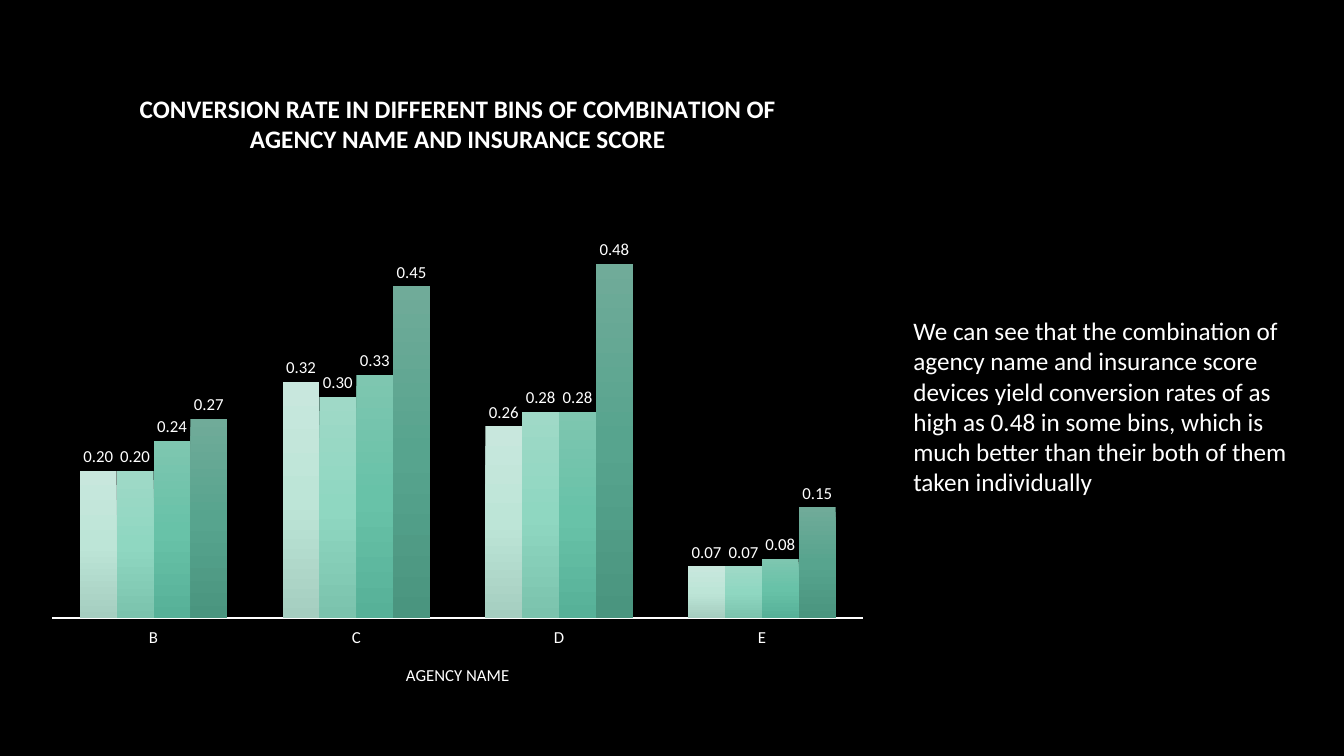
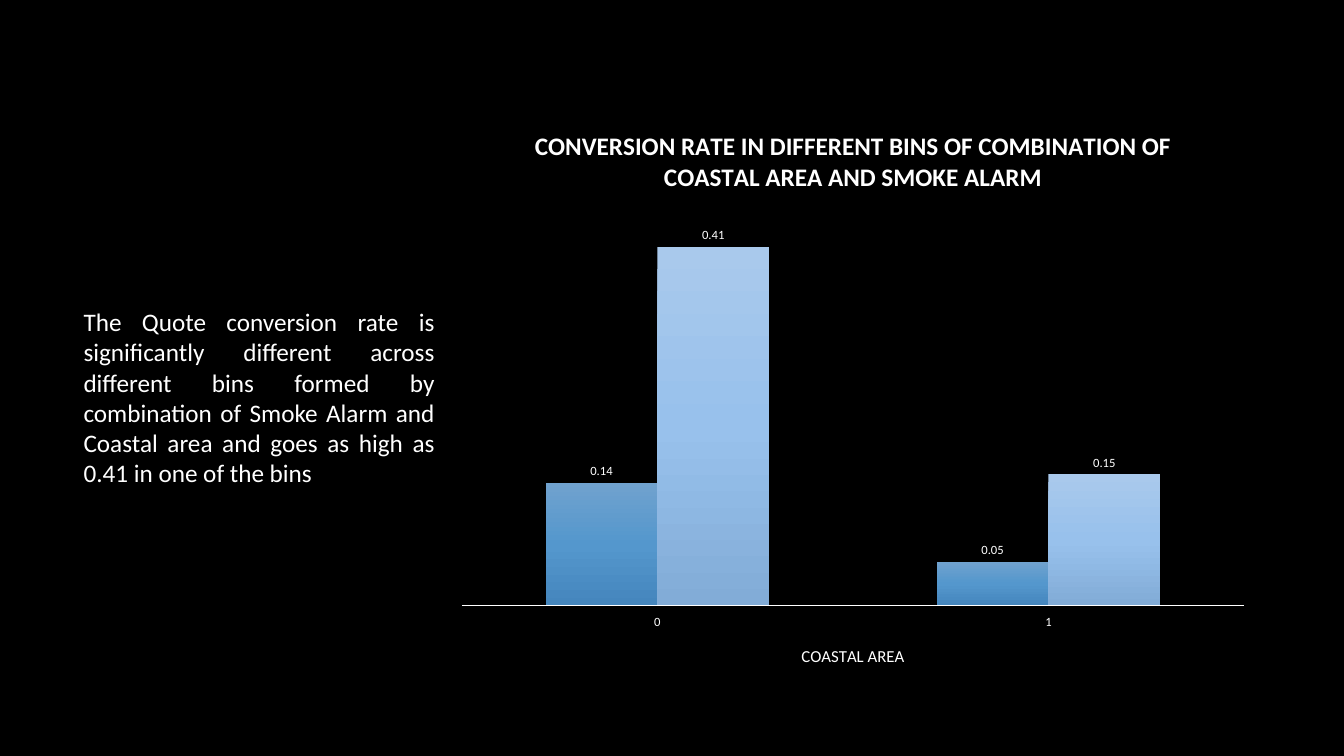
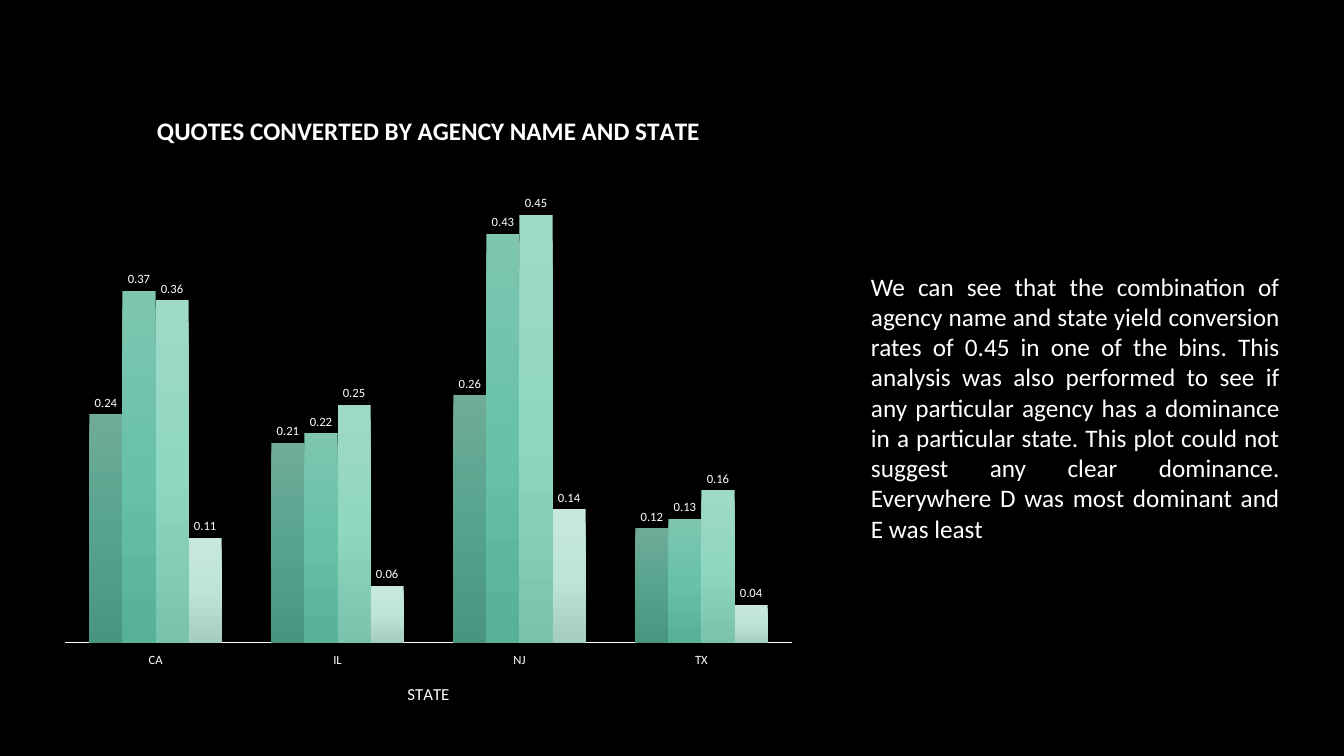
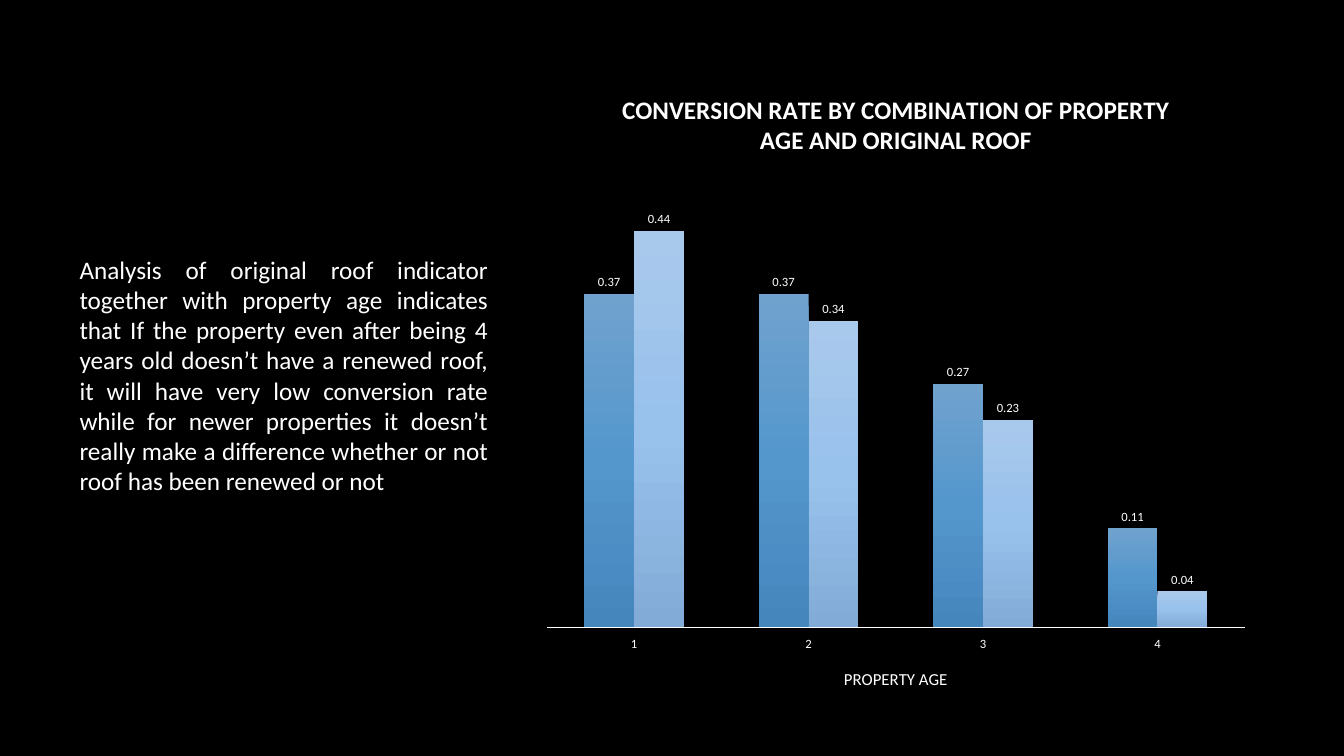
from copy import deepcopy

from pptx import Presentation
from pptx.chart.data import CategoryChartData
from pptx.dml.color import RGBColor
from pptx.enum.chart import XL_CHART_TYPE, XL_LABEL_POSITION, XL_TICK_LABEL_POSITION, XL_TICK_MARK
from pptx.enum.text import MSO_AUTO_SIZE, PP_ALIGN
from pptx.oxml.ns import qn
from pptx.util import Inches, Pt

COLUMNS = XL_CHART_TYPE.COLUMN_CLUSTERED
OUTSIDE_END = XL_LABEL_POSITION.OUTSIDE_END
TICK_LABELS_LOW = XL_TICK_LABEL_POSITION.LOW
NO_TICKS = XL_TICK_MARK.NONE
LEFT, JUSTIFY = PP_ALIGN.LEFT, PP_ALIGN.JUSTIFY
FIT_SHAPE = MSO_AUTO_SIZE.SHAPE_TO_FIT_TEXT

FONT = "Calibri"
BLACK = RGBColor(0x00, 0x00, 0x00)
WHITE = RGBColor(0xFF, 0xFF, 0xFF)

# Column gradients, each from top to bottom
PALE_GREEN = (RGBColor(0xC8, 0xE7, 0xDD), RGBColor(0xBD, 0xE5, 0xD7), RGBColor(0xA5, 0xCE, 0xC0))
LIGHT_GREEN = (RGBColor(0x9F, 0xD9, 0xC7), RGBColor(0x8F, 0xD7, 0xC1), RGBColor(0x7B, 0xC3, 0xAD))
MID_GREEN = (RGBColor(0x7E, 0xC6, 0xB0), RGBColor(0x68, 0xC2, 0xA8), RGBColor(0x57, 0xB1, 0x98))
DARK_GREEN = (RGBColor(0x70, 0xAB, 0x99), RGBColor(0x57, 0xA4, 0x8E), RGBColor(0x4A, 0x95, 0x7F))
DARK_BLUE = (RGBColor(0x70, 0xA2, 0xCE), RGBColor(0x54, 0x97, 0xCD), RGBColor(0x45, 0x86, 0xBD))
LIGHT_BLUE = (RGBColor(0xA9, 0xC9, 0xEC), RGBColor(0x98, 0xC1, 0xEC), RGBColor(0x82, 0xAC, 0xD7))
GREENS = [PALE_GREEN, LIGHT_GREEN, MID_GREEN, DARK_GREEN]
BLUES = [DARK_BLUE, LIGHT_BLUE]

# Content of each slide; boxes are left, top, width, height in inches
SLIDES = [
    {
        "title": "CONVERSION RATE IN DIFFERENT BINS OF COMBINATION OF AGENCY NAME AND INSURANCE SCORE",
        "axis": "AGENCY NAME",
        "chart_box": (0.35, 0.68, 8.38, 6.34),
        "label_size": 12,
        "categories": ["B", "C", "D", "E"],
        "values": [(0.20, 0.32, 0.26, 0.07), (0.20, 0.30, 0.28, 0.07),
                   (0.24, 0.33, 0.28, 0.08), (0.27, 0.45, 0.48, 0.15)],
        "gradients": GREENS,
        "text": "We can see that the combination of agency name and insurance score devices yield "
                "conversion rates of as high as 0.48 in some bins, which is much better than their "
                "both of them taken individually",
        "text_box": (8.96, 3.08, 4.05, 1.92),
        "align": LEFT,
    },
    {
        "title": "CONVERSION RATE IN DIFFERENT BINS OF COMBINATION OF COASTAL AREA AND SMOKE ALARM",
        "axis": "COASTAL AREA",
        "chart_box": (4.42, 1.06, 8.08, 5.77),
        "label_size": 9,
        "categories": ["0", "1"],
        "values": [(0.14, 0.05), (0.41, 0.15)],
        "gradients": BLUES,
        "text": "The Quote conversion rate is significantly different across different bins formed by "
                "combination of Smoke Alarm and Coastal area and goes as high as 0.41 in one of the bins",
        "text_box": (0.73, 2.99, 3.68, 1.92),
        "align": JUSTIFY,
    },
    {
        "title": "QUOTES CONVERTED BY AGENCY NAME AND STATE",
        "axis": "STATE",
        "chart_box": (0.49, 0.9, 7.52, 6.31),
        "label_size": 9,
        "categories": ["CA", "IL", "NJ", "TX"],
        "values": [(0.24, 0.21, 0.26, 0.12), (0.37, 0.22, 0.43, 0.13),
                   (0.36, 0.25, 0.45, 0.16), (0.11, 0.06, 0.14, 0.04)],
        "gradients": GREENS[::-1],
        "text": "We can see that the combination of agency name and state yield conversion rates of "
                "0.45 in one of the bins. This analysis was also performed to see if any particular "
                "agency has a dominance in a particular state. This plot could not suggest any clear "
                "dominance. Everywhere D was most dominant and E was least",
        "text_box": (8.54, 2.64, 4.25, 2.83),
        "align": JUSTIFY,
    },
    {
        "title": "CONVERSION RATE BY COMBINATION OF PROPERTY AGE AND ORIGINAL ROOF",
        "axis": "PROPERTY AGE",
        "chart_box": (5.28, 0.69, 7.21, 6.37),
        "label_size": 9,
        "categories": ["1", "2", "3", "4"],
        "values": [(0.37, 0.37, 0.27, 0.11), (0.44, 0.34, 0.23, 0.04)],
        "gradients": BLUES,
        "text": "Analysis of original roof indicator together with property age indicates that If the "
                "property even after being 4 years old doesn’t have a renewed roof, it will have very "
                "low conversion rate while for newer properties it doesn’t really make a difference "
                "whether or not roof has been renewed or not",
        "text_box": (0.69, 2.47, 4.25, 2.52),
        "align": JUSTIFY,
    },
]


def style_font(font, size, bold=False):
    font.name = FONT
    font.size = Pt(size)
    font.bold = bold
    font.color.rgb = WHITE


deck = Presentation()
deck.slide_width, deck.slide_height = Inches(13.33), Inches(7.5)
blank = deck.slide_layouts[6]

# Black background shared by every slide
backdrop = deck.slide_master.background.fill
backdrop.solid()
backdrop.fore_color.rgb = BLACK

for content in SLIDES:
    page = deck.slides.add_slide(blank)

    # Chart and its title
    data = CategoryChartData(number_format="#,##0.00")
    data.categories = content["categories"]
    for number, values in enumerate(content["values"], 1):
        data.add_series(f"Series {number}", values)
    chart_box = [Inches(length) for length in content["chart_box"]]
    chart = page.shapes.add_chart(COLUMNS, *chart_box, data).chart
    style_font(chart.font, 10)
    chart.has_legend = False
    chart.has_title = True
    heading = chart.chart_title.text_frame
    heading.text = content["title"]
    style_font(heading.paragraphs[0].font, 18, bold=True)

    # Axes
    chart.value_axis.has_major_gridlines = False
    chart.value_axis.minimum_scale = 0
    chart.value_axis.visible = False
    axis = chart.category_axis
    axis.major_tick_mark = axis.minor_tick_mark = NO_TICKS
    axis.tick_label_position = TICK_LABELS_LOW
    axis.format.line.color.rgb = WHITE
    axis.format.line.width = Pt(1)
    style_font(axis.tick_labels.font, content["label_size"])
    caption = axis.axis_title.text_frame
    caption.text = content["axis"]
    style_font(caption.paragraphs[0].font, 12)

    # Columns with a three-stop gradient and value labels
    plot = chart.plots[0]
    plot.gap_width, plot.overlap = 150, 0
    plot.vary_by_categories = False
    for series, gradient in zip(plot.series, content["gradients"]):
        series.invert_if_negative = False
        fill = series.format.fill
        fill.gradient()
        fill.gradient_angle = 270
        stop_list = next(series.format.fill._xPr.iter(qn("a:gsLst")))
        stop_list.insert(1, deepcopy(stop_list[0]))
        for stop, position, colour in zip(fill.gradient_stops, (0, 0.5, 1), gradient):
            stop.position = position
            stop.color.rgb = colour
        labels = series.data_labels
        labels.show_value = True
        labels.position = OUTSIDE_END
        labels.number_format = "#,##0.00"
        labels.number_format_is_linked = False
        style_font(labels.font, content["label_size"])

    # Comment beside the chart
    box = page.shapes.add_textbox(*[Inches(length) for length in content["text_box"]])
    frame = box.text_frame
    frame.word_wrap = True
    frame.auto_size = FIT_SHAPE
    para = frame.paragraphs[0]
    para.text = content["text"]
    para.alignment = content["align"]
    style_font(para.font, 18)

deck.save("out.pptx")
